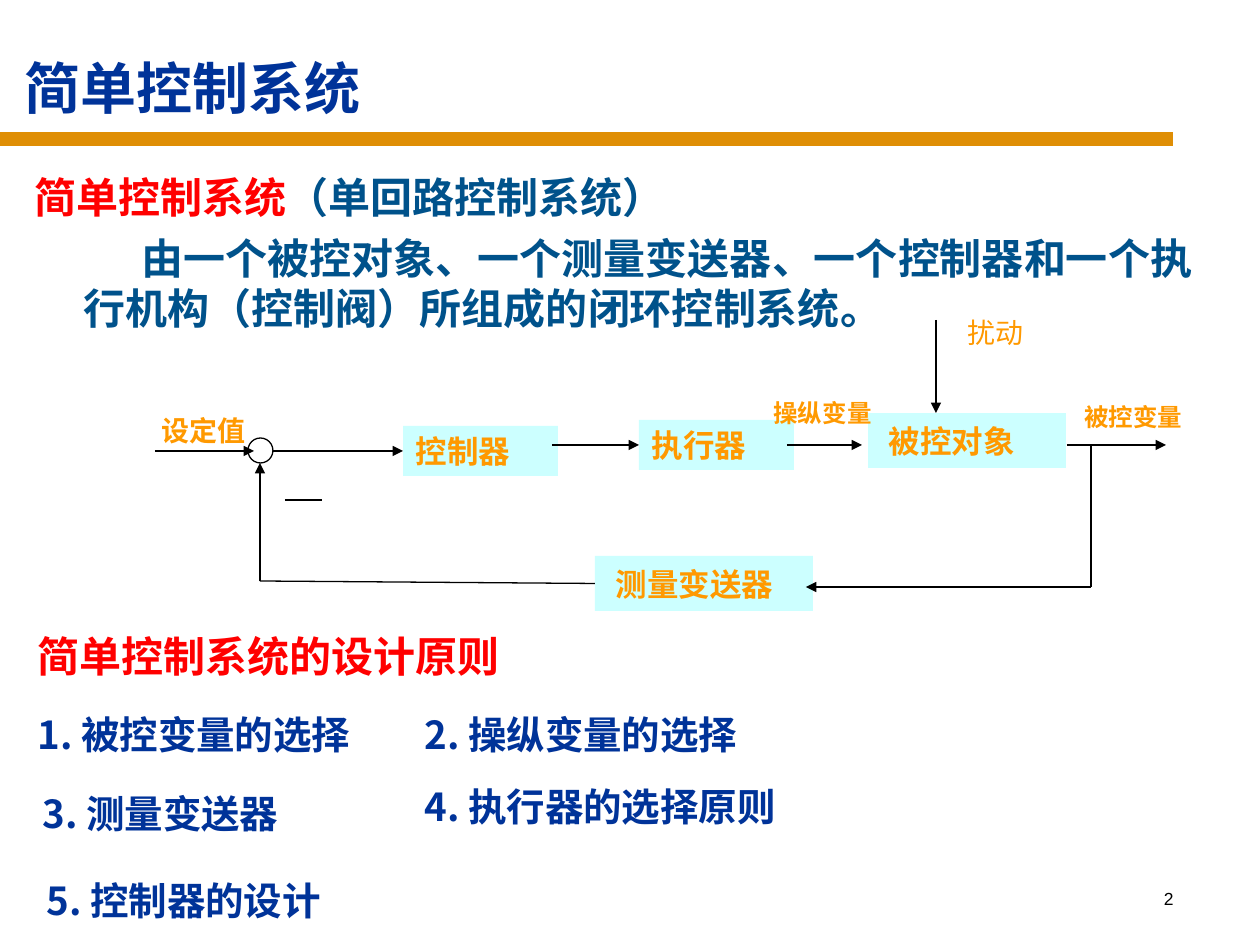
"""Build a slide on simple control systems with a feedback loop diagram."""
from lxml.etree import SubElement
from pptx import Presentation
from pptx.dml.color import RGBColor
from pptx.enum.lang import MSO_LANGUAGE_ID
from pptx.enum.shapes import MSO_CONNECTOR, MSO_SHAPE
from pptx.enum.text import MSO_ANCHOR, PP_ALIGN
from pptx.oxml.ns import qn
from pptx.util import Pt

SCALE = 914400 / 126
SANS, NOTO = "DejaVu Sans", "Noto Sans CJK SC"
RED, NAVY, TEAL, GOLD, BLACK = "FF0000", "003399", "00528B", "FF9900", "000000"


def px(*sizes):
    return [round(size * SCALE) for size in sizes]


def tint(code):
    return RGBColor.from_string(code)


deck = Presentation()
deck.slide_width, deck.slide_height = px(1260, 945)
slide = deck.slides.add_slide(deck.slide_layouts[5])
shapes = slide.shapes


def write(para, text, face, size, color, bold=True):
    run = para.add_run()
    run.text = text
    style = {"size": Pt(size), "bold": bold, "name": face,
             "language_id": MSO_LANGUAGE_ID.SIMPLIFIED_CHINESE}
    for key, value in style.items():
        setattr(run.font, key, value)
    run.font.color.rgb = tint(color)
    east = SubElement(run.font._element, qn("a:ea"))
    east.set("typeface", NOTO if face == NOTO else SANS)


def draw(start, end, width=0.75, arrow=False, color=BLACK):
    line = shapes.add_connector(MSO_CONNECTOR.STRAIGHT, *px(*start, *end))
    line.line.width = Pt(width)
    line.line.color.rgb = tint(color)
    props = line._element.spPr
    if arrow:
        SubElement(props.find(qn("a:ln")), qn("a:tailEnd"), type="triangle")
    SubElement(props, qn("a:effectLst"))
    return line


draw((0, 139), (1173, 139), width=8, color="DF8E05")

title = shapes.title
place = dict(zip(("left", "top", "width", "height"), px(0, 21, 1134, 106)))
for key, value in place.items():
    setattr(title, key, value)
frame = title.text_frame
frame.word_wrap = True
frame.vertical_anchor = MSO_ANCHOR.BOTTOM
frame.margin_left = px(24)[0]
frame.paragraphs[0].alignment = PP_ALIGN.LEFT
write(frame.paragraphs[0], "简单控制系统", "Times New Roman", 32, NAVY)

frame = shapes.add_textbox(*px(10, 165, 1196, 214)).text_frame
frame.word_wrap = True
frame.margin_left, frame.margin_right = px(25, 0)
head = frame.paragraphs[0]
write(head, "简单控制系统", "Arial", 24, RED)
write(head, "（单回路控制系统）", "Arial", 24, TEAL)
para = frame.add_paragraph()
para.space_before = Pt(6)
left, indent = px(49, 58)
props = para._p.get_or_add_pPr()
props.set("marL", str(left))
props.set("indent", str(indent))
write(para, "由一个被控对象、一个测量变送器、一个控制器和一个执行机构（控制阀）所组成的闭环控制系统。",
      "Arial", 24, TEAL)

items = [
    ("1. 被控变量的选择", 25, 696, 425),
    ("2. 操纵变量的选择", 412, 696, 387),
    ("3. 测量变送器", 30, 774, 307),
    ("4. 执行器的选择原则", 412, 767, 407),
    ("5. 控制器的设计", 34, 861, 407),
]
for text, x, y, width in items:
    frame = shapes.add_textbox(*px(x, y, width, 68)).text_frame
    frame.word_wrap = True
    frame.vertical_anchor = MSO_ANCHOR.MIDDLE
    frame.paragraphs[0].line_spacing = 1.2
    write(frame.paragraphs[0], text, NOTO, 22, NAVY)

blocks = {}
for text, x, y, width, height, inset, top in [
    ("被控对象", 868, 413, 198, 55, 21, 9),
    ("测量变送器", 595, 556, 218, 55, 21, 9),
    ("控制器", 403, 426, 155, 50, 13, 6),
    ("执行器", 639, 420, 155, 50, 13, 6),
]:
    block = shapes.add_shape(MSO_SHAPE.RECTANGLE, *px(x, y, width, height))
    block.shadow.inherit = False
    block.fill.solid()
    block.fill.fore_color.rgb = tint("CCFFFF")
    block.line.fill.background()
    frame = block.text_frame
    frame.margin_left, frame.margin_top = px(inset, top)
    frame.vertical_anchor = MSO_ANCHOR.TOP
    frame.paragraphs[0].alignment = PP_ALIGN.LEFT
    write(frame.paragraphs[0], text, SANS, 18, GOLD)
    blocks[text] = block

ring = shapes.add_shape(MSO_SHAPE.OVAL, *px(248, 438, 25, 25))
ring.shadow.inherit = False
ring.fill.background()
ring.line.color.rgb = tint(BLACK)
ring.line.width = Pt(0.75)

for start, end, arrow, goal in [
    ((155, 451), (254, 451), True, None),
    ((273, 451), (403, 451), True, "控制器"),
    ((552, 445), (639, 445), True, "执行器"),
    ((787, 445), (862, 445), True, None),
    ((1067, 445), (1166, 445), True, None),
    ((936, 320), (936, 413), True, None),
    ((1091, 445), (1091, 587), False, None),
    ((1091, 587), (806, 587), True, None),
    ((260, 581), (595, 583), False, "测量变送器"),
    ((260, 581), (260, 463), True, None),
    ((285, 500), (322, 500), False, None),
]:
    line = draw(start, end, arrow=arrow)
    if goal:
        line.end_connect(blocks[goal], 1)

for text, x, y, width, height, face, size, color, bold in [
    ("简单控制系统的设计原则", 25, 624, 774, 63, "Arial", 24, RED, True),
    ("被控变量", 1072, 396, 142, 87, SANS, 14, GOLD, True),
    ("设定值", 149, 407, 142, 97, SANS, 16, GOLD, True),
    ("扰动", 955, 309, 136, 47, SANS, 16, GOLD, False),
    ("操纵变量", 761, 392, 142, 87, SANS, 14, GOLD, True),
    ("2", 924, 882, 262, 63, "Arial", 10, BLACK, False),
]:
    frame = shapes.add_textbox(*px(x, y, width, height)).text_frame
    frame.word_wrap = True
    para = frame.paragraphs[0]
    para.alignment = PP_ALIGN.RIGHT if text == "2" else PP_ALIGN.LEFT
    write(para, text, face, size, color, bold)

deck.save("out.pptx")
